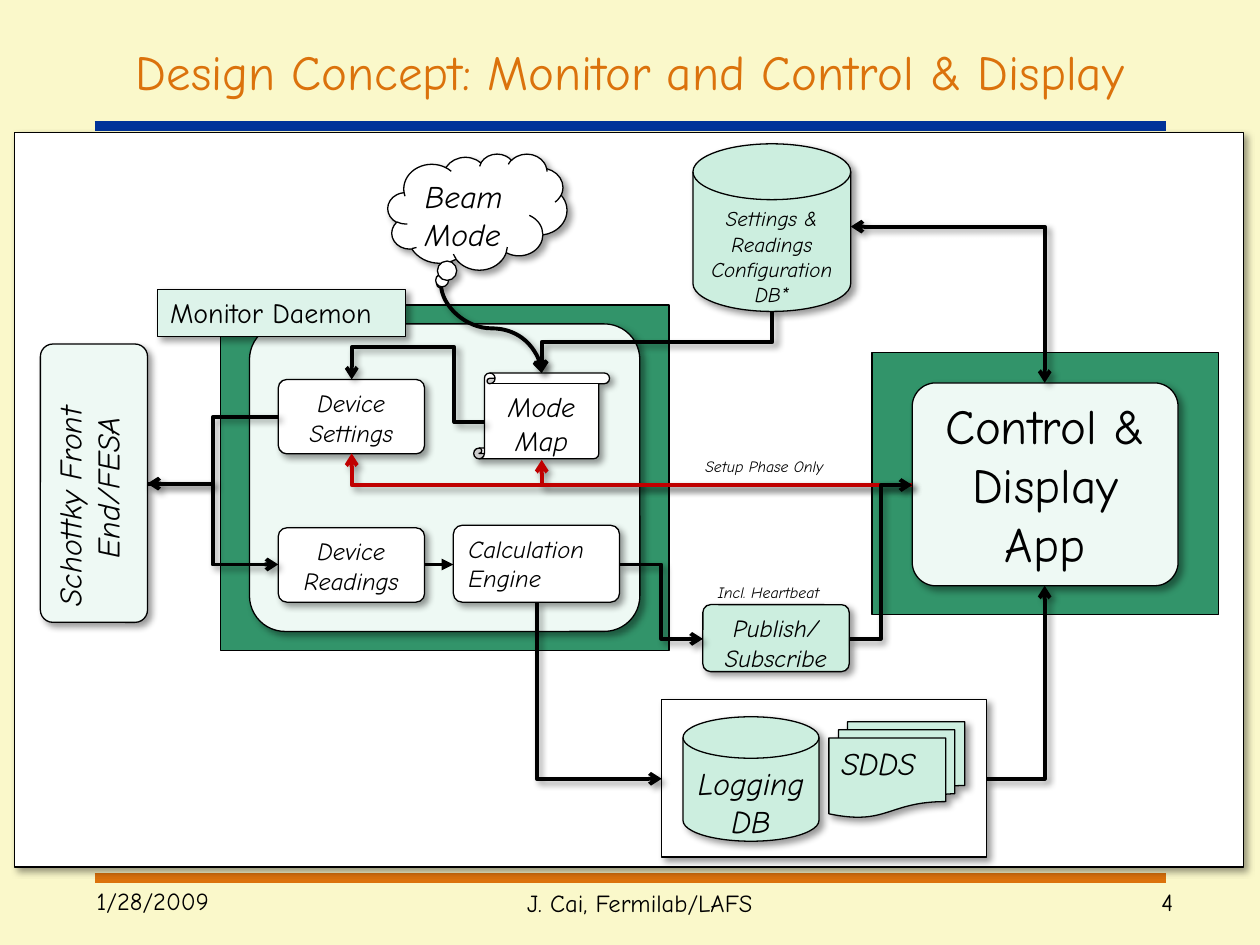
"""Builds the slide on the monitor, control and display design concept."""
from dataclasses import dataclass
from typing import Optional

from lxml.etree import SubElement
from pptx import Presentation
from pptx.dml.color import RGBColor
from pptx.enum.shapes import MSO_CONNECTOR, MSO_SHAPE
from pptx.enum.text import MSO_ANCHOR, PP_ALIGN
from pptx.oxml.ns import qn
from pptx.util import Cm, Pt

CREAM = RGBColor(0xFA, 0xF8, 0xCA)
ORANGE = RGBColor(0xDB, 0x72, 0x0C)
BLUE = RGBColor(0x00, 0x33, 0x99)
BLACK = RGBColor(0x00, 0x00, 0x00)
WHITE = RGBColor(0xFF, 0xFF, 0xFF)
RED = RGBColor(0xC0, 0x00, 0x00)
GREEN = RGBColor(0x32, 0x94, 0x6A)
MINT = RGBColor(0xCC, 0xEE, 0xDF)
LABEL_MINT = RGBColor(0xDD, 0xF3, 0xEA)
PALE_MINT = RGBColor(0xEE, 0xF9, 0xF4)

FONT = "Comic Neue"
CORNER = 0.116
HANGING = Cm(0.97)
RECTANGLE = MSO_SHAPE.RECTANGLE
ROUNDED = MSO_SHAPE.ROUNDED_RECTANGLE
DISK = MSO_SHAPE.FLOWCHART_MAGNETIC_DISK
LEFT, CENTER, RIGHT = PP_ALIGN.LEFT, PP_ALIGN.CENTER, PP_ALIGN.RIGHT


@dataclass
class Words:
    text: str
    size: int
    align: PP_ALIGN = CENTER
    italic: bool = True
    color: RGBColor = BLACK
    anchor: MSO_ANCHOR = MSO_ANCHOR.TOP
    wrap: bool = True
    hanging: bool = False


@dataclass
class Box:
    place: tuple
    kind: MSO_SHAPE
    fill: RGBColor
    words: Optional[Words] = None
    shadow: bool = True
    rotation: int = 0


@dataclass
class Label:
    place: tuple
    words: Words


@dataclass
class Link:
    start: tuple
    end: tuple
    geometry: str
    rotation: int = 0
    adjustments: tuple = ()
    color: RGBColor = BLACK
    head: str = ""
    tail: str = "arrow"
    shadow: bool = True


LABELS = [
    Label((1.27, 0.76, 22.86, 1.35),
          Words("Design Concept: Monitor and Control & Display", 28, italic=False,
                color=ORANGE, anchor=MSO_ANCHOR.MIDDLE)),
    Label((1.7, 17.73, 3.81, 1.32), Words("1/28/2009", 14, LEFT, False)),
    Label((21.21, 17.75, 2.69, 1.07), Words("4", 14, RIGHT, False)),
    Label((5.28, 17.78, 15.24, 1.27), Words("J. Cai, Fermilab/LAFS", 14, italic=False)),
    Label((14.22, 11.63, 2.87, 0.64), Words("Incl. Heartbeat", 9, LEFT, wrap=False)),
    Label((13.97, 9.09, 3.12, 0.64), Words("Setup Phase Only", 9, LEFT, wrap=False)),
]

BOXES = [
    Box((0.3, 2.67, 24.77, 14.81), RECTANGLE, WHITE),
    Box((17.58, 7.11, 6.99, 5.28), RECTANGLE, GREEN, shadow=False),
    Box((13.34, 14.1, 6.55, 3.18), RECTANGLE, WHITE),
    Box((4.45, 6.15, 9.04, 6.96), RECTANGLE, GREEN, shadow=False),
    Box((5.03, 6.53, 7.87, 6.2), ROUNDED, PALE_MINT),
    Box((18.39, 7.72, 5.36, 4.09), ROUNDED, PALE_MINT,
        Words("Control & Display App", 28, italic=False)),
    Box((-0.91, 8.66, 5.61, 2.16), ROUNDED, PALE_MINT,
        Words("Schottky Front End/FESA", 18, LEFT, hanging=True), rotation=270),
    Box((5.61, 7.65, 2.95, 1.5), ROUNDED, WHITE, Words("Device Settings", 14)),
    Box((5.61, 10.64, 2.95, 1.5), ROUNDED, WHITE, Words("Device Readings", 14)),
    Box((9.14, 10.59, 3.35, 1.55), ROUNDED, WHITE, Words("Calculation Engine", 14, LEFT)),
    Box((13.97, 2.9, 3.18, 3.38), DISK, MINT,
        Words("Settings & Readings Configuration DB*", 12)),
    Box((14.17, 12.19, 2.95, 1.35), ROUNDED, MINT, Words("Publish/ Subscribe", 14)),
    Box((13.77, 14.45, 2.74, 2.51), DISK, MINT, Words("Logging DB", 18)),
    Box((9.55, 7.52, 2.74, 1.73), MSO_SHAPE.VERTICAL_SCROLL, WHITE, Words("Mode\vMap", 16)),
    Box((16.71, 14.55, 2.74, 1.93), MSO_SHAPE.FLOWCHART_MULTIDOCUMENT, MINT,
        Words("SDDS", 18, LEFT, hanging=True)),
    Box((3.18, 5.84, 5, 0.94), RECTANGLE, LABEL_MINT,
        Words("Monitor Daemon", 16, LEFT, False, wrap=False)),
]
BEAM_MODE = Box((7.82, 3.1, 3.61, 2.34), MSO_SHAPE.CLOUD_CALLOUT, WHITE,
                Words("Beam Mode", 18, LEFT))

FRONT_END, APP_SIDE, MAP_TOP = (2.97, 9.75), (18.39, 9.78), (10.92, 7.52)
ONE_BEND, TWO_BENDS = "bentConnector2", "bentConnector3"
LINKS = [
    Link((9.75, 8.51), (7.09, 7.65), "bentConnector4", 180, (0.222, 1.755)),
    Link((15.57, 6.27), MAP_TOP, TWO_BENDS, 90),
    Link((5.61, 8.41), FRONT_END, TWO_BENDS, 180),
    Link(FRONT_END, (5.61, 11.38), TWO_BENDS),
    Link((21.06, 7.72), (17.15, 4.57), ONE_BEND, 270, head="arrow"),
    Link(APP_SIDE, (10.92, 9.27), ONE_BEND, 180, color=RED),
    Link(APP_SIDE, (7.09, 9.14), ONE_BEND, 180, color=RED),
    Link((10.82, 12.14), (13.34, 15.7), ONE_BEND, 270),
    Link((8.89, 5.72), MAP_TOP, "curvedConnector3", 270),
    Link((12.5, 11.38), (14.17, 12.88), TWO_BENDS),
    Link((17.12, 12.88), APP_SIDE, TWO_BENDS),
    Link((19.89, 15.7), (21.06, 11.81), ONE_BEND),
    Link((8.56, 11.38), (9.14, 11.38), "curvedConnector3", tail="triangle", shadow=False),
]


def add_shadow(effects) -> None:
    """Put a soft grey shadow into an effect list."""
    shadow = SubElement(effects, qn("a:outerShdw"), blurRad=str(Pt(4)), dist=str(Pt(3)),
                        dir="2700000", algn="tl", rotWithShape="0")
    color = SubElement(shadow, qn("a:srgbClr"), val=str(BLACK))
    SubElement(color, qn("a:alpha"), val="40000")


def write(shape, words: Words) -> None:
    """Set the text of a shape and its format."""
    frame = shape.text_frame
    frame.text = words.text
    frame.word_wrap = words.wrap
    frame.vertical_anchor = words.anchor
    paragraph = frame.paragraphs[0]
    paragraph.alignment = words.align
    if words.hanging:
        properties = paragraph._p.get_or_add_pPr()
        properties.set("marL", str(HANGING))
        properties.set("indent", str(-HANGING))
    formats = {"name": FONT, "size": Pt(words.size), "italic": words.italic, "bold": False}
    for run in paragraph.runs:
        for name, value in formats.items():
            setattr(run.font, name, value)
        run.font.color.rgb = words.color


def draw_label(slide, label: Label) -> None:
    """Draw a text box."""
    write(slide.shapes.add_textbox(*map(Cm, label.place)), label.words)


def draw_box(slide, box: Box) -> None:
    """Draw a filled and outlined shape with its text."""
    shape = slide.shapes.add_shape(box.kind, *map(Cm, box.place))
    shape.rotation = box.rotation
    shape.fill.solid()
    shape.fill.fore_color.rgb = box.fill
    shape.line.color.rgb = BLACK
    shape.line.width = Pt(0.75)
    shape.shadow.inherit = False
    if box.kind == ROUNDED:
        shape.adjustments[0] = CORNER
    if box.shadow:
        add_shadow(shape._element.spPr.find(qn("a:effectLst")))
    if box.words:
        write(shape, box.words)


def draw_line(slide, kind, start: tuple, end: tuple, color: RGBColor, width: float):
    """Draw a connector without effects and return it."""
    connector = slide.shapes.add_connector(kind, *map(Cm, start + end))
    connector.line.color.rgb = color
    connector.line.width = Pt(width)
    SubElement(connector._element.spPr, qn("a:effectLst"))
    return connector


def draw_link(slide, link: Link) -> None:
    """Draw a bent or curved arrow, turned so that it leaves its start correctly."""
    (x1, y1), (x2, y2) = link.start, link.end
    dx, dy = x2 - x1, y2 - y1
    across, down = {0: (dx, dy), 90: (dy, -dx), 180: (-dx, -dy), 270: (-dy, dx)}[link.rotation]
    width, height = abs(across), abs(down)
    left, top = (x1 + x2 - width) / 2, (y1 + y2 - height) / 2
    connector = draw_line(slide, MSO_CONNECTOR.ELBOW, (left, top),
                          (left + width, top + height), link.color, 2.25)
    properties = connector._element.spPr
    frame = properties.find(qn("a:xfrm"))
    frame.set("rot", str(link.rotation * 60000))
    frame.set("flipH", str(int(across < 0)))
    frame.set("flipV", str(int(down < 0)))
    geometry = properties.find(qn("a:prstGeom"))
    geometry.set("prst", link.geometry)
    guides = geometry.find(qn("a:avLst"))
    for number, value in enumerate(link.adjustments, 1):
        SubElement(guides, qn("a:gd"), name=f"adj{number}", fmla=f"val {round(value * 100000)}")
    for tag, arrow in (("a:headEnd", link.head), ("a:tailEnd", link.tail)):
        if arrow:
            SubElement(properties.find(qn("a:ln")), qn(tag), type=arrow)
    if link.shadow:
        add_shadow(properties.find(qn("a:effectLst")))


def main() -> None:
    """Build and save the presentation."""
    presentation = Presentation()
    presentation.slide_width, presentation.slide_height = Cm(25.4), Cm(19.05)
    slide = presentation.slides.add_slide(presentation.slide_layouts[6])
    slide.background.fill.solid()
    slide.background.fill.fore_color.rgb = CREAM
    for top, color in ((17.7, ORANGE), (2.54, BLUE)):
        draw_line(slide, MSO_CONNECTOR.STRAIGHT, (1.91, top), (23.5, top), color, 6)
    for box in BOXES:
        draw_box(slide, box)
    for link in LINKS:
        draw_link(slide, link)
    draw_box(slide, BEAM_MODE)
    for label in LABELS:
        draw_label(slide, label)
    presentation.save("out.pptx")


if __name__ == "__main__":
    main()
